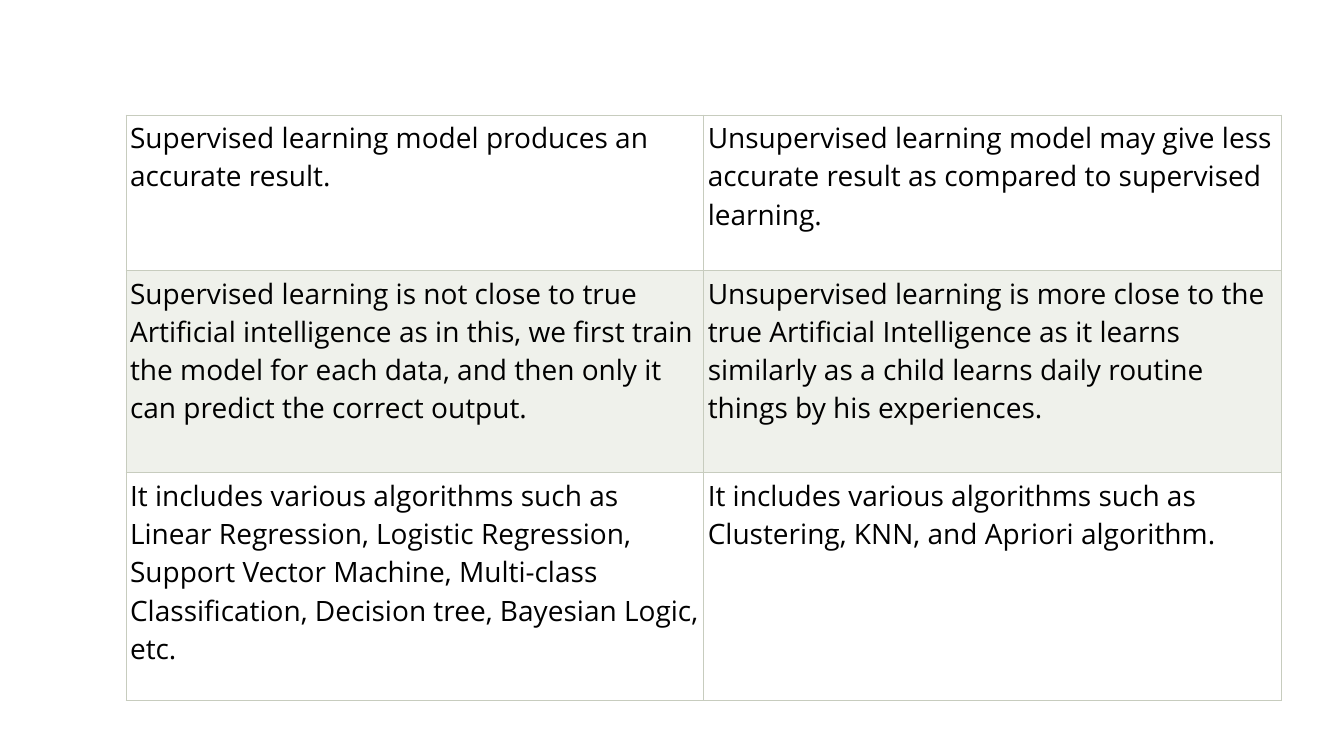
from lxml.etree import SubElement
from pptx import Presentation
from pptx.dml.color import RGBColor
from pptx.oxml.ns import qn
from pptx.util import Inches, Pt

FONT = "Open Sans"
BLACK = RGBColor(0x00, 0x00, 0x00)
WHITE = RGBColor(0xFF, 0xFF, 0xFF)
PALE_GREEN = RGBColor(0xEF, 0xF1, 0xEB)
BORDER = RGBColor(0xC7, 0xCC, 0xBE)

COLUMN_WIDTH = 5.73
ROW_HEIGHTS = [1.54, 2.01, 2.26]
COMPARISON = [
    ("Supervised learning model produces an accurate result.",
     "Unsupervised learning model may give less accurate result as compared "
     "to supervised learning."),
    ("Supervised learning is not close to true Artificial intelligence as in this, "
     "we first train the model for each data, and then only it can predict the "
     "correct output.",
     "Unsupervised learning is more close to the true Artificial Intelligence as it "
     "learns similarly as a child learns daily routine things by his experiences."),
    ("It includes various algorithms such as Linear Regression, Logistic Regression, "
     "Support Vector Machine, Multi-class Classification, Decision tree, "
     "Bayesian Logic, etc.",
     "It includes various algorithms such as Clustering, KNN, and Apriori algorithm."),
]


def add_borders(cell):
    """Draw a thin line on all four sides of a cell."""
    properties = cell._tc.get_or_add_tcPr()
    for side in ("a:lnL", "a:lnR", "a:lnT", "a:lnB"):
        line = SubElement(properties, qn(side), w=str(Pt(0.5)))
        fill = SubElement(line, qn("a:solidFill"))
        SubElement(fill, qn("a:srgbClr"), val=str(BORDER))


def fill_cell(cell, text, color):
    """Set the text, margins, borders and fill of a cell."""
    cell.margin_left = cell.margin_right = Inches(0.04)
    cell.margin_top = cell.margin_bottom = Inches(0.04)
    add_borders(cell)
    cell.fill.solid()
    cell.fill.fore_color.rgb = color
    cell.text_frame.text = text
    font = cell.text_frame.paragraphs[0].runs[0].font
    font.name = FONT
    font.size = Pt(20)
    font.color.rgb = BLACK


def add_comparison_table(page, left, top):
    """Add the two-column comparison with alternating row fills."""
    columns = len(COMPARISON[0])
    table = page.shapes.add_table(
        len(COMPARISON), columns, Inches(left), Inches(top),
        Inches(columns * COLUMN_WIDTH), Inches(sum(ROW_HEIGHTS))).table
    table.first_row = False
    table.horz_banding = False
    for column in table.columns:
        column.width = Inches(COLUMN_WIDTH)
    for row_index, texts in enumerate(COMPARISON):
        table.rows[row_index].height = Inches(ROW_HEIGHTS[row_index])
        color = PALE_GREEN if row_index % 2 else WHITE
        for column_index, text in enumerate(texts):
            fill_cell(table.cell(row_index, column_index), text, color)


def main():
    """Build and save the slide."""
    deck = Presentation()
    deck.slide_width = Inches(13.33)
    deck.slide_height = Inches(7.5)
    page = deck.slides.add_slide(deck.slide_layouts[6])
    add_comparison_table(page, 1.25, 1.14)
    deck.save("out.pptx")


if __name__ == "__main__":
    main()
